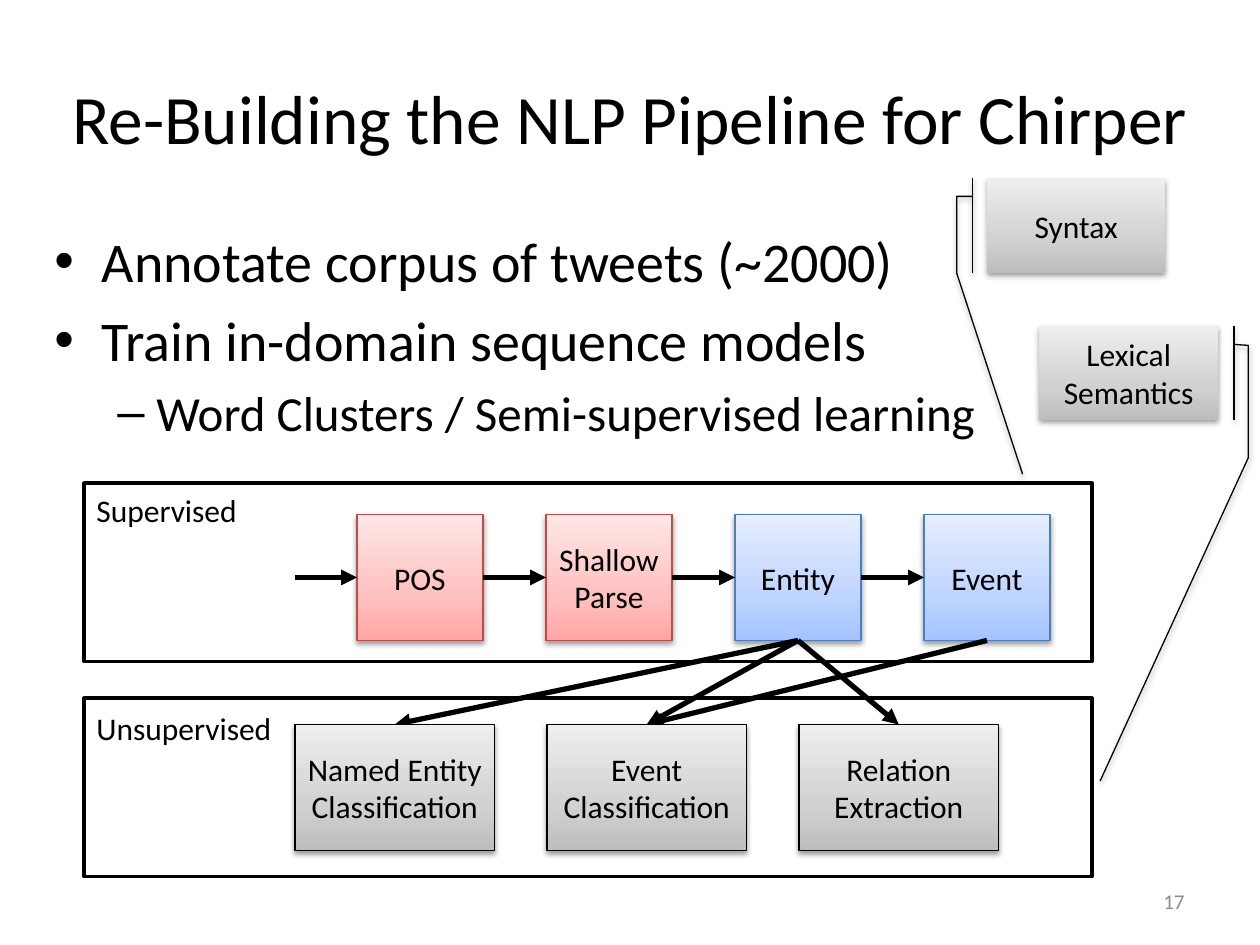
"""Build the slide on re-building an NLP pipeline for short social posts."""
from copy import deepcopy
from dataclasses import dataclass
from typing import Optional

from lxml import etree
from pptx import Presentation
from pptx.dml.color import RGBColor
from pptx.enum.shapes import MSO_CONNECTOR, MSO_SHAPE
from pptx.enum.text import MSO_ANCHOR, MSO_AUTO_SIZE, PP_ALIGN
from pptx.oxml.ns import qn
from pptx.util import Emu, Pt

RECT = MSO_SHAPE.RECTANGLE
CALLOUT = MSO_SHAPE.LINE_CALLOUT_3_ACCENT_BAR
STRAIGHT = MSO_CONNECTOR.STRAIGHT
TOP, MIDDLE = MSO_ANCHOR.TOP, MSO_ANCHOR.MIDDLE
NO_FIT = MSO_AUTO_SIZE.NONE
LEFT, CENTER, RIGHT = PP_ALIGN.LEFT, PP_ALIGN.CENTER, PP_ALIGN.RIGHT
SIDE_TOP, SIDE_LEFT, SIDE_BOTTOM, SIDE_RIGHT = range(4)

FONT = "Calibri"
PX = 7620
BLACK = RGBColor(0x00, 0x00, 0x00)
WHITE = RGBColor(0xFF, 0xFF, 0xFF)
PAGE_GRAY = RGBColor(0x8C, 0x8C, 0x8C)


@dataclass(frozen=True)
class Style:
    """Gradient colours from bottom to top, and the outline colour."""
    stops: tuple[RGBColor, RGBColor, RGBColor]
    line: RGBColor


@dataclass(frozen=True)
class Box:
    """A shaded box with centred text."""
    lines: tuple[str, ...]
    x: int
    y: int
    w: int
    h: int
    style: Style
    adj: tuple[float, ...] = ()


@dataclass(frozen=True)
class Panel:
    """An outlined panel with a label in its corner."""
    label: str
    y: int
    label_y: int
    label_w: int


@dataclass(frozen=True)
class Bullet:
    """A bulleted line of the body."""
    text: str
    char: str
    size: int
    margin: int
    hang: int
    level: int = 0
    before: float = 0


RED = Style((RGBColor(0xFF, 0xA6, 0xA5), RGBColor(0xFF, 0xC0, 0xBF),
             RGBColor(0xFF, 0xE7, 0xE7)), RGBColor(0xBF, 0x4C, 0x48))
BLUE = Style((RGBColor(0xA4, 0xC4, 0xFF), RGBColor(0xBF, 0xD4, 0xFF),
              RGBColor(0xE6, 0xEE, 0xFF)), RGBColor(0x4B, 0x7E, 0xBC))
GRAY = Style((RGBColor(0xBD, 0xBD, 0xBD), RGBColor(0xD1, 0xD1, 0xD1),
              RGBColor(0xEE, 0xEE, 0xEE)), BLACK)

PANELS = (Panel("Supervised", 460, 462, 160), Panel("Unsupervised", 665, 669, 193))
BULLETS = (
    Bullet("Annotate corpus of tweets (~2000)", "•", 32, 45, 45),
    Bullet("Train in-domain sequence models", "•", 32, 45, 45, before=6.4),
    Bullet("Word Clusters / Semi-supervised learning", "–", 28, 97, 37, 1, 5.6),
)
STEPS = (("POS", RED), ("Shallow Parse", RED), ("Entity", BLUE), ("Event", BLUE))
TASKS = (("Named Entity", "Classification"), ("Event", "Classification"),
         ("Relation Extraction",))
LINKS = ((2, 1), (2, 0), (2, 2), (3, 1))
CALLOUTS = (
    Box(("Syntax",), 940, 170, 170, 90, GRAY,
        (0.19, -0.08, 0.19, -0.17, 1, -0.17, 3.13, 0.2)),
    Box(("Lexical", "Semantics"), 990, 310, 170, 90, GRAY,
        (0.2, 1.09, 0.21, 1.17, 1.4, 1.17, 4.82, 0.34)),
)


def px(n: int) -> Emu:
    """Turn px into EMU."""
    return Emu(n * PX)


def add_run(p, text: str, size: float, color: RGBColor = BLACK) -> None:
    """Add one formatted run to a paragraph."""
    r = p.add_run()
    r.text = text
    r.font.name, r.font.size = FONT, Pt(size)
    r.font.color.rgb = color


def add_text(s, x: int, y: int, w: int, h: int, wrap: bool = True):
    """Add an empty text box and return its text frame."""
    tf = s.shapes.add_textbox(px(x), px(y), px(w), px(h)).text_frame
    tf.word_wrap, tf.auto_size = wrap, NO_FIT
    return tf


def add_title(s, text: str) -> None:
    """Place and fill the title placeholder."""
    sp = s.shapes.title
    sp.left, sp.top, sp.width, sp.height = px(40), px(36), px(1120), px(150)
    tf = sp.text_frame
    tf.word_wrap, tf.auto_size, tf.vertical_anchor = True, NO_FIT, MIDDLE
    p = tf.paragraphs[0]
    p.alignment = CENTER
    add_run(p, text, 39.6)


def add_bullets(s, bullets: tuple[Bullet, ...]) -> None:
    """Add the bulleted body text."""
    tf = add_text(s, 40, 210, 1120, 250)
    for i, b in enumerate(bullets):
        p = tf.add_paragraph() if i else tf.paragraphs[0]
        p.alignment, p.level, p.space_before = LEFT, b.level, Pt(b.before)
        pPr = p._p.get_or_add_pPr()
        pPr.set("marL", str(px(b.margin)))
        pPr.set("indent", str(px(-b.hang)))
        etree.SubElement(pPr, qn("a:buFont"), typeface="Arial")
        etree.SubElement(pPr, qn("a:buChar"), char=b.char)
        add_run(p, b.text, b.size)


def add_panel(s, panel: Panel) -> None:
    """Add an outlined panel and its label."""
    sp = s.shapes.add_shape(RECT, px(80), px(panel.y), px(960), px(170))
    sp.shadow.inherit = False
    sp.fill.solid()
    sp.fill.fore_color.rgb = WHITE
    sp.line.color.rgb, sp.line.width = BLACK, Pt(2)
    tf = add_text(s, 80, panel.label_y, panel.label_w, 48, wrap=False)
    add_run(tf.paragraphs[0], panel.label, 18)


def shade(sp, style: Style) -> None:
    """Give a shape its gradient, outline and soft shadow."""
    sp.fill.gradient()
    sp.fill.gradient_angle = 90
    spPr = sp._element.spPr
    stops = spPr.find(".//" + qn("a:gsLst"))
    stops.append(deepcopy(stops[-1]))
    for stop, pos, color in zip(sp.fill.gradient_stops, (0, 0.35, 1), style.stops):
        stop.position, stop.color.rgb = pos, color
    sp.line.color.rgb, sp.line.width = style.line, Pt(0.75)
    sp.shadow.inherit = False
    shadow = etree.SubElement(spPr.find(qn("a:effectLst")), qn("a:outerShdw"),
                              blurRad="40000", dist="20000", dir="5400000",
                              rotWithShape="0")
    clr = etree.SubElement(shadow, qn("a:srgbClr"), val=str(BLACK))
    etree.SubElement(clr, qn("a:alpha"), val="38000")


def add_box(s, box: Box):
    """Add a shaded box, or a callout when adjustments are given."""
    sp = s.shapes.add_shape(CALLOUT if box.adj else RECT,
                            px(box.x), px(box.y), px(box.w), px(box.h))
    for i, value in enumerate(box.adj):
        sp.adjustments[i] = value
    shade(sp, box.style)
    tf = sp.text_frame
    tf.word_wrap, tf.vertical_anchor = True, MIDDLE
    for i, line in enumerate(box.lines):
        p = tf.add_paragraph() if i else tf.paragraphs[0]
        p.alignment = CENTER
        add_run(p, line, 18)
    return sp


def add_arrow(s, end, end_side: int, begin: Optional[object] = None,
              begin_side: int = SIDE_RIGHT, x: int = 0, y: int = 0) -> None:
    """Add an arrow into a box, from another box or from a point."""
    c = s.shapes.add_connector(STRAIGHT, px(x), px(y), px(x), px(y))
    if begin is not None:
        c.begin_connect(begin, begin_side)
    c.end_connect(end, end_side)
    c.line.color.rgb, c.line.width = BLACK, Pt(3)
    etree.SubElement(c.line._get_or_add_ln(), qn("a:tailEnd"), type="triangle")
    etree.SubElement(c._element.spPr, qn("a:effectLst"))


def main() -> None:
    """Build and save the slide."""
    prs = Presentation()
    prs.slide_width, prs.slide_height = px(1200), px(900)
    s = prs.slides.add_slide(prs.slide_layouts[5])
    for panel in PANELS:
        add_panel(s, panel)
    add_title(s, "Re-Building the NLP Pipeline for Chirper")
    add_bullets(s, BULLETS)
    tf = add_text(s, 860, 834, 280, 48)
    tf.vertical_anchor = MIDDLE
    tf.paragraphs[0].alignment = RIGHT
    add_run(tf.paragraphs[0], "17", 12, PAGE_GRAY)

    steps = [add_box(s, Box((name,), 340 + 180 * i, 490, 120, 120, style))
             for i, (name, style) in enumerate(STEPS)]
    add_arrow(s, steps[0], SIDE_LEFT, x=281, y=550)
    for begin, end in zip(steps, steps[1:]):
        add_arrow(s, end, SIDE_LEFT, begin)
    tasks = [add_box(s, Box(lines, 281 + 240 * i, 690, 190, 120, GRAY))
             for i, lines in enumerate(TASKS)]
    for step, task in LINKS:
        add_arrow(s, tasks[task], SIDE_TOP, steps[step], SIDE_BOTTOM)
    for sp in tasks:
        sp._element.getparent().append(sp._element)
    for box in CALLOUTS:
        add_box(s, box)
    prs.save("out.pptx")


if __name__ == "__main__":
    main()
